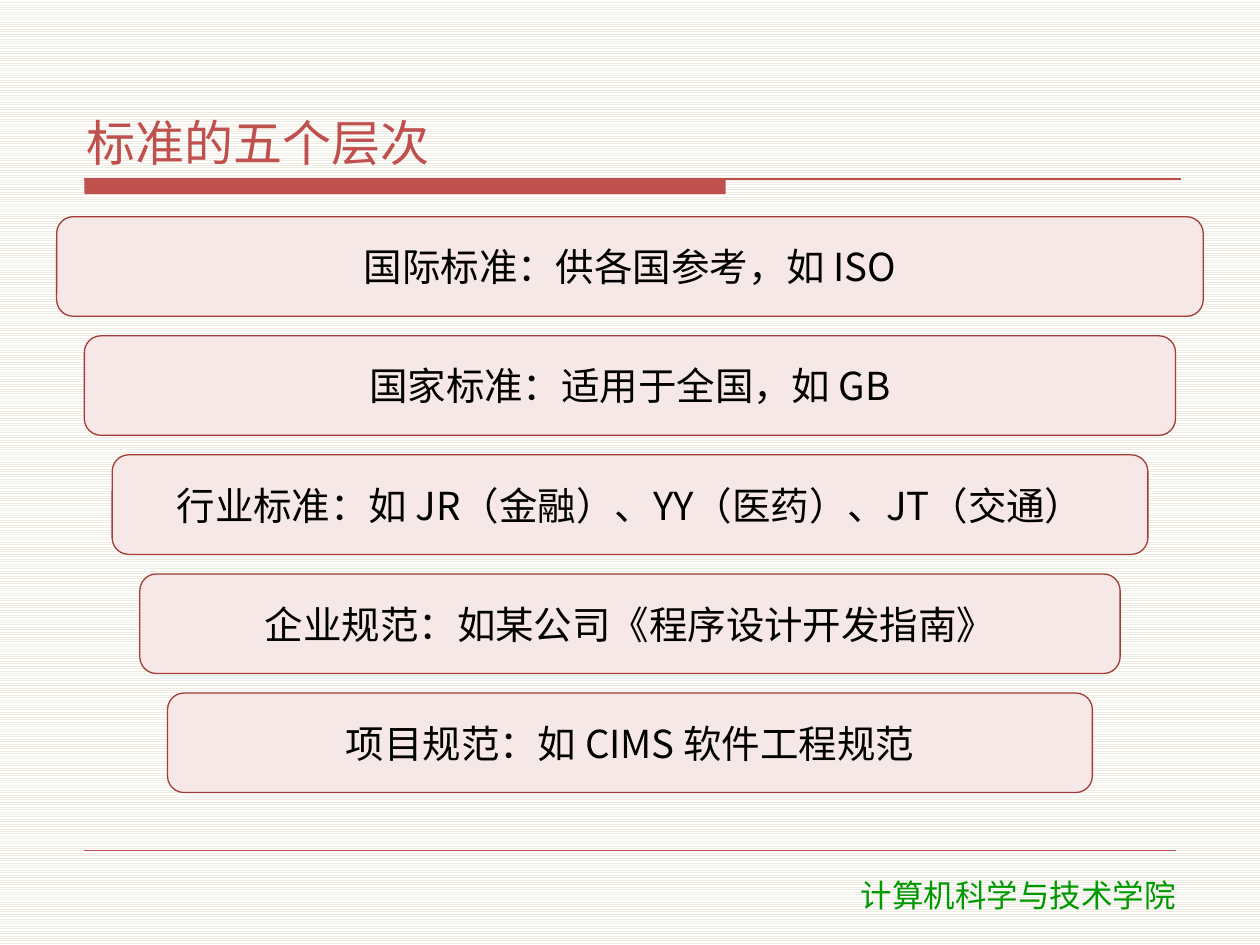
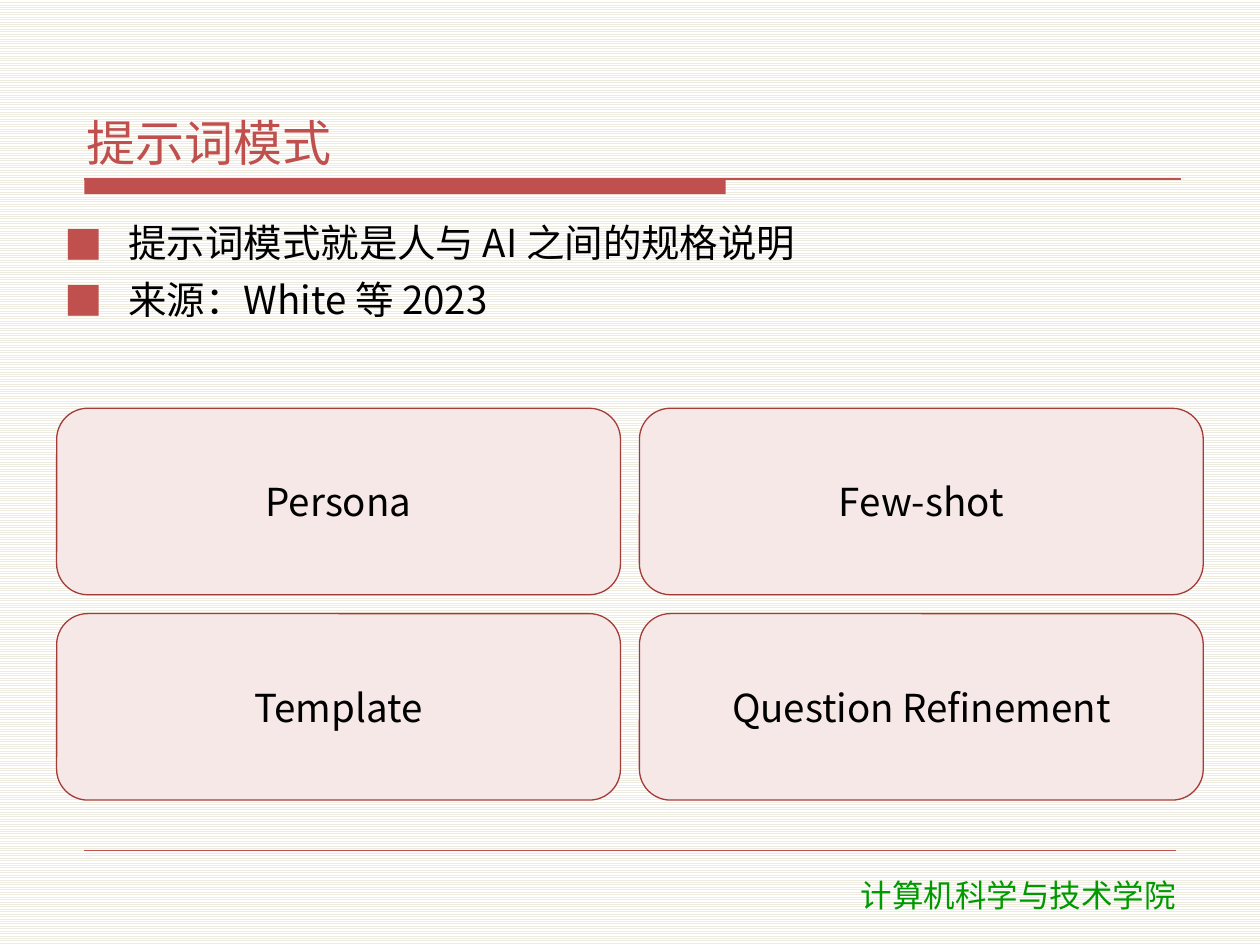
from lxml.etree import SubElement
from pptx import Presentation
from pptx.dml.color import RGBColor
from pptx.enum.dml import MSO_PATTERN
from pptx.enum.shapes import MSO_CONNECTOR, MSO_SHAPE
from pptx.enum.text import MSO_ANCHOR, MSO_AUTO_SIZE, PP_ALIGN
from pptx.oxml.ns import qn
from pptx.util import Inches, Pt

RED = RGBColor(0xC0, 0x50, 0x4D)
DARK_RED = RGBColor(0xA3, 0x3B, 0x38)
PALE_RED = RGBColor(0xF6, 0xE8, 0xE6)
CREAM = RGBColor(0xEE, 0xEC, 0xE1)
WHITE = RGBColor(0xFF, 0xFF, 0xFF)
BLACK = RGBColor(0x00, 0x00, 0x00)
GREEN = RGBColor(0x00, 0x99, 0x00)

TEXT_FONT = "Noto Sans CJK SC"
FOOTER_FONT = "DejaVu Sans"
TITLE_ONLY_LAYOUT = 5
TITLE_AND_BODY_LAYOUT = 1

CONTENT_LEFT = 0.45
CONTENT_TOP = 1.72
CONTENT_WIDTH = 9.1
RULE_LEFT = 0.67

LEVELS = [
    "国际标准：供各国参考，如 ISO",
    "国家标准：适用于全国，如 GB",
    "行业标准：如 JR（金融）、YY（医药）、JT（交通）",
    "企业规范：如某公司《程序设计开发指南》",
    "项目规范：如 CIMS 软件工程规范",
]
PATTERN_NOTES = ["提示词模式就是人与 AI 之间的规格说明", "来源：White 等 2023"]
PATTERNS = ["Persona", "Few-shot", "Template", "Question Refinement"]


def set_background(presentation):
    fill = presentation.slide_master.background.fill
    fill.patterned()
    fill.pattern = MSO_PATTERN.LIGHT_HORIZONTAL
    fill.fore_color.rgb = CREAM
    fill.back_color.rgb = WHITE


def place(shape, left, top, width, height):
    shape.left, shape.top = Inches(left), Inches(top)
    shape.width, shape.height = Inches(width), Inches(height)


def format_frame(text_frame, anchor):
    text_frame.word_wrap = True
    text_frame.auto_size = MSO_AUTO_SIZE.NONE
    text_frame.vertical_anchor = anchor
    text_frame.margin_left = text_frame.margin_right = Inches(0.06)
    text_frame.margin_top = text_frame.margin_bottom = Inches(0.02)


def format_paragraph(paragraph, size, color, alignment, font_name=TEXT_FONT):
    paragraph.alignment = alignment
    paragraph.space_before = Pt(0)
    paragraph.space_after = Pt(2)
    for run in paragraph.runs:
        run.font.size = Pt(size)
        run.font.color.rgb = color
        run.font.name = font_name
        SubElement(run.font._element, qn("a:ea"), typeface=font_name)


def add_bullet(paragraph):
    properties = paragraph._p.get_or_add_pPr()
    properties.set("marL", str(Inches(0.51)))
    properties.set("indent", str(Inches(-0.51)))
    bullet_color = SubElement(properties, qn("a:buClr"))
    SubElement(bullet_color, qn("a:srgbClr"), val=str(RED))
    SubElement(properties, qn("a:buFont"), typeface=TEXT_FONT)
    SubElement(properties, qn("a:buChar"), char="■")


def add_rule(slide, top, right, weight):
    rule = slide.shapes.add_connector(
        MSO_CONNECTOR.STRAIGHT, Inches(RULE_LEFT), Inches(top), Inches(right), Inches(top)
    )
    rule.line.color.rgb = RED
    rule.line.width = Pt(weight)
    SubElement(rule._element.spPr, qn("a:effectLst"))


def add_title_band(slide):
    band = slide.shapes.add_shape(
        MSO_SHAPE.RECTANGLE, Inches(RULE_LEFT), Inches(1.42), Inches(5.09), Inches(0.12)
    )
    band.shadow.inherit = False
    band.fill.solid()
    band.fill.fore_color.rgb = RED
    band.line.fill.background()
    add_rule(slide, 1.42, 9.37, 0.75)


def add_footer(slide):
    add_rule(slide, 6.75, 9.33, 0.25)
    footer = slide.shapes.add_textbox(Inches(6.07), Inches(6.9), Inches(4.02), Inches(0.4))
    footer.text_frame.word_wrap = True
    footer.text_frame.text = "计算机科学与技术学院"
    format_paragraph(footer.text_frame.paragraphs[0], 18, GREEN, PP_ALIGN.CENTER, FOOTER_FONT)


def add_slide(presentation, layout_index, title_text):
    slide = presentation.slides.add_slide(presentation.slide_layouts[layout_index])
    title = slide.shapes.title
    place(title, 0.63, 0.33, 8.75, 1.05)
    title.text_frame.text = title_text
    format_frame(title.text_frame, MSO_ANCHOR.BOTTOM)
    format_paragraph(title.text_frame.paragraphs[0], 28, RED, PP_ALIGN.LEFT)
    add_title_band(slide)
    add_footer(slide)
    return slide


def add_bullet_list(slide, items, height):
    body = slide.placeholders[1]
    place(body, CONTENT_LEFT, CONTENT_TOP, CONTENT_WIDTH, height)
    text_frame = body.text_frame
    text_frame.text = "\n".join(items)
    format_frame(text_frame, MSO_ANCHOR.TOP)
    for index, paragraph in enumerate(text_frame.paragraphs):
        add_bullet(paragraph)
        format_paragraph(paragraph, 22, BLACK, PP_ALIGN.LEFT)
        if index:
            paragraph.space_before = Pt(4)


def add_card(slide, text, left, top, width, height):
    card = slide.shapes.add_shape(
        MSO_SHAPE.ROUNDED_RECTANGLE, Inches(left), Inches(top), Inches(width), Inches(height)
    )
    card.shadow.inherit = False
    card.fill.solid()
    card.fill.fore_color.rgb = PALE_RED
    card.line.color.rgb = DARK_RED
    card.line.width = Pt(0.75)
    card.text_frame.text = text
    format_frame(card.text_frame, MSO_ANCHOR.MIDDLE)
    format_paragraph(card.text_frame.paragraphs[0], 22, BLACK, PP_ALIGN.CENTER)


def add_funnel(slide, items):
    inset = 0.22
    pitch = 3.78 / (len(items) - 1)
    for index, text in enumerate(items):
        add_card(
            slide,
            text,
            CONTENT_LEFT + index * inset,
            CONTENT_TOP + index * pitch,
            CONTENT_WIDTH - 2 * index * inset,
            0.79,
        )


def add_card_grid(slide, items, top, columns=2):
    gap, height = 0.15, 1.48
    width = (CONTENT_WIDTH - gap * (columns - 1)) / columns
    for index, text in enumerate(items):
        row, column = divmod(index, columns)
        left = CONTENT_LEFT + column * (width + gap)
        add_card(slide, text, left, top + row * (height + gap), width, height)


def main():
    presentation = Presentation()
    presentation.slide_width = Inches(10)
    presentation.slide_height = Inches(7.5)
    set_background(presentation)

    levels_slide = add_slide(presentation, TITLE_ONLY_LAYOUT, "标准的五个层次")
    add_funnel(levels_slide, LEVELS)

    patterns_slide = add_slide(presentation, TITLE_AND_BODY_LAYOUT, "提示词模式")
    add_bullet_list(patterns_slide, PATTERN_NOTES, 1.44)
    add_card_grid(patterns_slide, PATTERNS, 3.24)

    presentation.save("out.pptx")


if __name__ == "__main__":
    main()
